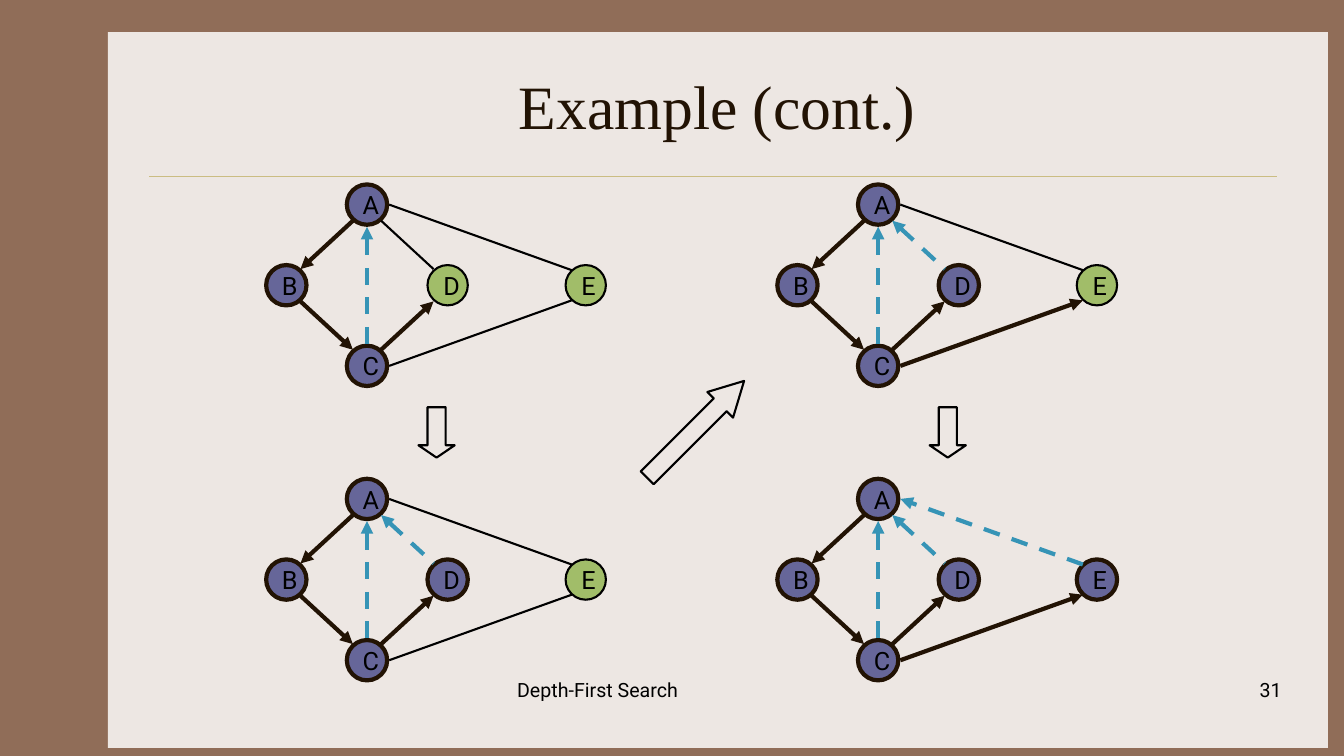
from dataclasses import dataclass

from lxml import etree
from pptx import Presentation
from pptx.dml.color import RGBColor
from pptx.enum.dml import MSO_LINE
from pptx.enum.shapes import MSO_CONNECTOR, MSO_SHAPE
from pptx.enum.text import MSO_ANCHOR, PP_ALIGN
from pptx.oxml.ns import qn
from pptx.util import Inches, Pt

STRAIGHT = MSO_CONNECTOR.STRAIGHT
RECTANGLE, OVAL, ARROW = MSO_SHAPE.RECTANGLE, MSO_SHAPE.OVAL, MSO_SHAPE.RIGHT_ARROW
LEFT, CENTER, RIGHT = PP_ALIGN.LEFT, PP_ALIGN.CENTER, PP_ALIGN.RIGHT
TOP, MIDDLE = MSO_ANCHOR.TOP, MSO_ANCHOR.MIDDLE
DASH = MSO_LINE.DASH


@dataclass(frozen=True)
class Theme:
    """Colours, fonts, type sizes and line widths of the slide."""
    frame: str = "906D58"
    panel: str = "EDE7E3"
    rule: str = "CBBD83"
    ink: str = "221304"
    black: str = "000000"
    visited: str = "666699"
    unvisited: str = "A1BD69"
    back: str = "3694B6"
    title_font: str = "Times New Roman"
    body_font: str = "Roboto"
    title_size: int = 44
    node_size: int = 18
    footer_size: int = 14
    thick: float = 3
    thin: float = 1.5
    hairline: float = 0.25


THEME = Theme()
NODE_SIZE = 0.4
NODES = {"D": (0.8, 0.8), "B": (-0.8, 0.8), "A": (0, 0), "C": (0, 1.6), "E": (2.17, 0.8)}
EDGES = {
    "AB": ((-0.14, 0.16), (0.14, -0.16)),
    "BC": ((0.14, 0.16), (-0.14, -0.16)),
    "CD": ((0.14, -0.16), (-0.14, 0.16)),
    "AD": ((0.14, 0.16), (-0.14, -0.16)),
    "AC": ((0, 0.22), (0, -0.22)),
    "CE": ((0.22, 0), (-0.14, 0.15)),
    "EA": ((-0.14, -0.15), (0.22, 0)),
}
DISCOVERED = {"AB", "BC", "CD"}
COLUMNS = (3.64, 8.71)
ROWS = (2.03, 4.95)
STEPS = [
    (COLUMNS[0], ROWS[0], "DE", DISCOVERED, {"AC"}),
    (COLUMNS[0], ROWS[1], "E", DISCOVERED, {"AC", "AD"}),
    (COLUMNS[1], ROWS[0], "E", DISCOVERED | {"CE"}, {"AC", "AD"}),
    (COLUMNS[1], ROWS[1], "", DISCOVERED | {"CE"}, {"AC", "AD", "EA"}),
]


def color(value):
    """Turn a hex string into a colour."""
    return RGBColor.from_string(value)


def write(shape, text, font, size, ink, align=LEFT, anchor=TOP, wrap=True):
    """Set and format the one paragraph of a shape."""
    frame = shape.text_frame
    frame.text = text
    frame.word_wrap = wrap
    frame.vertical_anchor = anchor
    para = frame.paragraphs[0]
    para.alignment = align
    span = para.runs[0]
    span.font.name = font
    span.font.size = Pt(size)
    span.font.color.rgb = color(ink)


def add_figure(shapes, kind, box, fill=None, line=None, width=0):
    """Add a preset shape with plain fill and outline."""
    shape = shapes.add_shape(kind, *map(Inches, box))
    shape.shadow.inherit = False
    if fill:
        shape.fill.solid()
        shape.fill.fore_color.rgb = color(fill)
    else:
        shape.fill.background()
    if line:
        shape.line.color.rgb = color(line)
        shape.line.width = Pt(width)
    else:
        shape.line.fill.background()
    return shape


def add_line(shapes, start, end, ink, width, dashed=False, arrow=None):
    """Add a straight line, with an arrowhead at headEnd or tailEnd if asked."""
    line = shapes.add_connector(STRAIGHT, *map(Inches, (*start, *end)))
    line.line.color.rgb = color(ink)
    line.line.width = Pt(width)
    if dashed:
        line.line.dash_style = DASH
    if arrow:
        etree.SubElement(line.line._get_or_add_ln(), qn(f"a:{arrow}"), type="triangle")
    etree.SubElement(line.element.spPr, qn("a:effectLst"))


def add_frame(page, box):
    """Draw the background, the panel and the rule under the title."""
    left, top, width, _ = box
    page.background.fill.solid()
    page.background.fill.fore_color.rgb = color(THEME.frame)
    add_figure(page.shapes, RECTANGLE, box, THEME.panel)
    rule_y = top + 1.43
    add_line(page.shapes, (left + 0.41, rule_y), (left + width - 0.5, rule_y),
             THEME.rule, THEME.hairline)


def add_title(page, box, text):
    """Place the title placeholder in front of the panel."""
    title = page.shapes.title
    title.left, title.top, title.width, title.height = map(Inches, box)
    write(title, text, THEME.title_font, THEME.title_size, THEME.ink, CENTER, MIDDLE)
    title.element.getparent().append(title.element)


def add_footer(page, box, text, align=LEFT):
    """Add one footer text."""
    label = page.shapes.add_textbox(*map(Inches, box))
    write(label, text, THEME.body_font, THEME.footer_size, THEME.black, align)


def add_graph(page, x, y, unvisited, discovered, back):
    """Draw one search step with node A centred at x, y."""
    shapes = page.shapes.add_group_shape().shapes
    centers = {name: (x + dx, y + dy) for name, (dx, dy) in NODES.items()}
    for name, (cx, cy) in centers.items():
        box = (cx - NODE_SIZE / 2, cy - NODE_SIZE / 2, NODE_SIZE, NODE_SIZE)
        if name in unvisited:
            style = (THEME.unvisited, THEME.black, THEME.thin)
        else:
            style = (THEME.visited, THEME.ink, THEME.thick)
        node = add_figure(shapes, OVAL, box, *style)
        write(node, name, THEME.body_font, THEME.node_size, THEME.black,
              anchor=MIDDLE, wrap=False)
    for edge, ports in EDGES.items():
        start, end = [(centers[name][0] + dx, centers[name][1] + dy)
                      for name, (dx, dy) in zip(edge, ports)]
        if edge in back:
            arrow = "headEnd" if edge[0] == "A" else "tailEnd"
            add_line(shapes, start, end, THEME.back, THEME.thick, True, arrow)
        elif edge in discovered:
            add_line(shapes, start, end, THEME.ink, THEME.thick, arrow="tailEnd")
        else:
            add_line(shapes, start, end, THEME.black, THEME.thin)


def add_step_arrow(page, box, rotation, head):
    """Draw an outlined block arrow that leads to the next step."""
    arrow = add_figure(page.shapes, ARROW, box, line=THEME.black, width=THEME.thin)
    arrow.rotation = rotation
    arrow.adjustments[0] = 0.5
    arrow.adjustments[1] = head


def main():
    """Build and save the slide."""
    deck = Presentation()
    deck.slide_width, deck.slide_height = Inches(13.33), Inches(7.5)
    page = deck.slides.add_slide(deck.slide_layouts[5])
    add_frame(page, (1.07, 0.32, 12.1, 7.1))
    add_footer(page, (5.03, 6.68, 4.22, 0.5), "Depth-First Search")
    add_footer(page, (10.03, 6.68, 2.78, 0.5), "31", RIGHT)
    add_title(page, (1.56, 0.42, 11.11, 1.25), "Example (cont.)")
    for step in STEPS:
        add_graph(page, *step)
    for x in COLUMNS:
        add_step_arrow(page, (x + 0.44, 4.11, 0.5, 0.36), 90, 0.34)
    add_step_arrow(page, (6.22, 4.08, 1.36, 0.36), 315, 0.93)
    deck.save("out.pptx")


if __name__ == "__main__":
    main()
